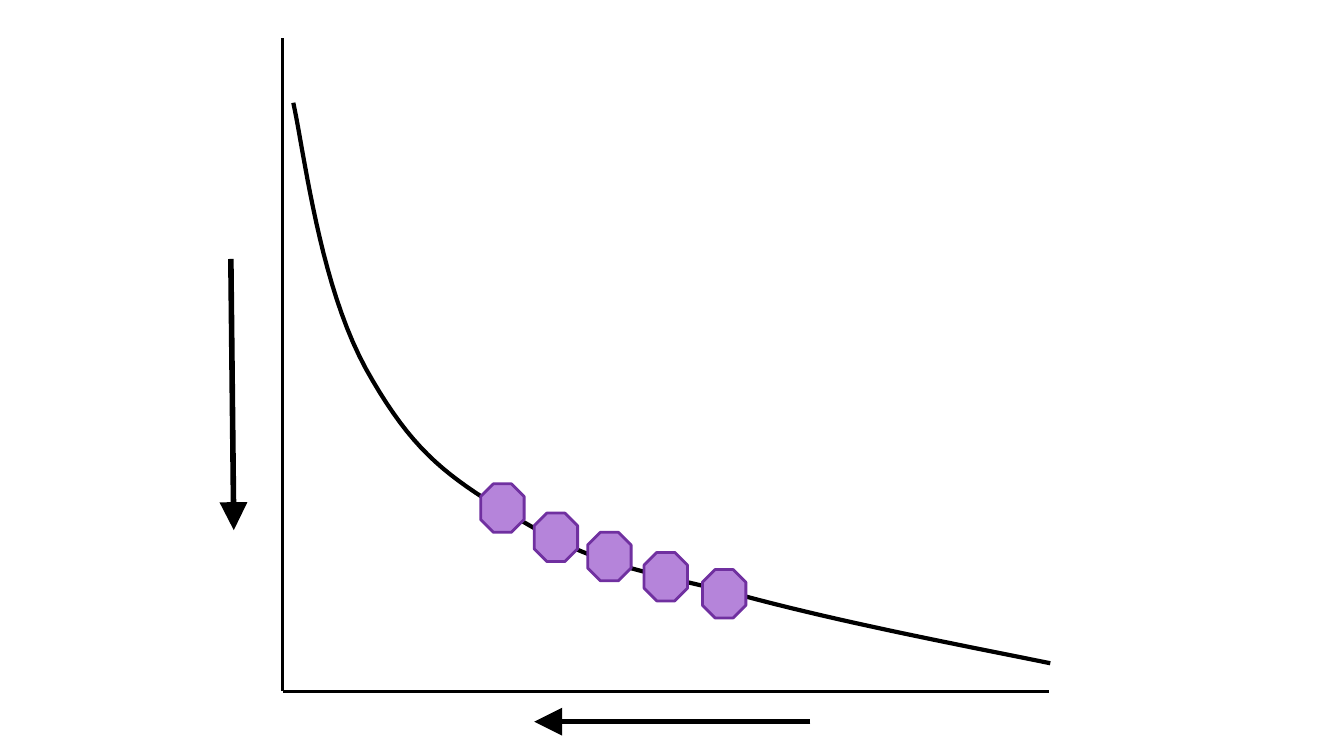
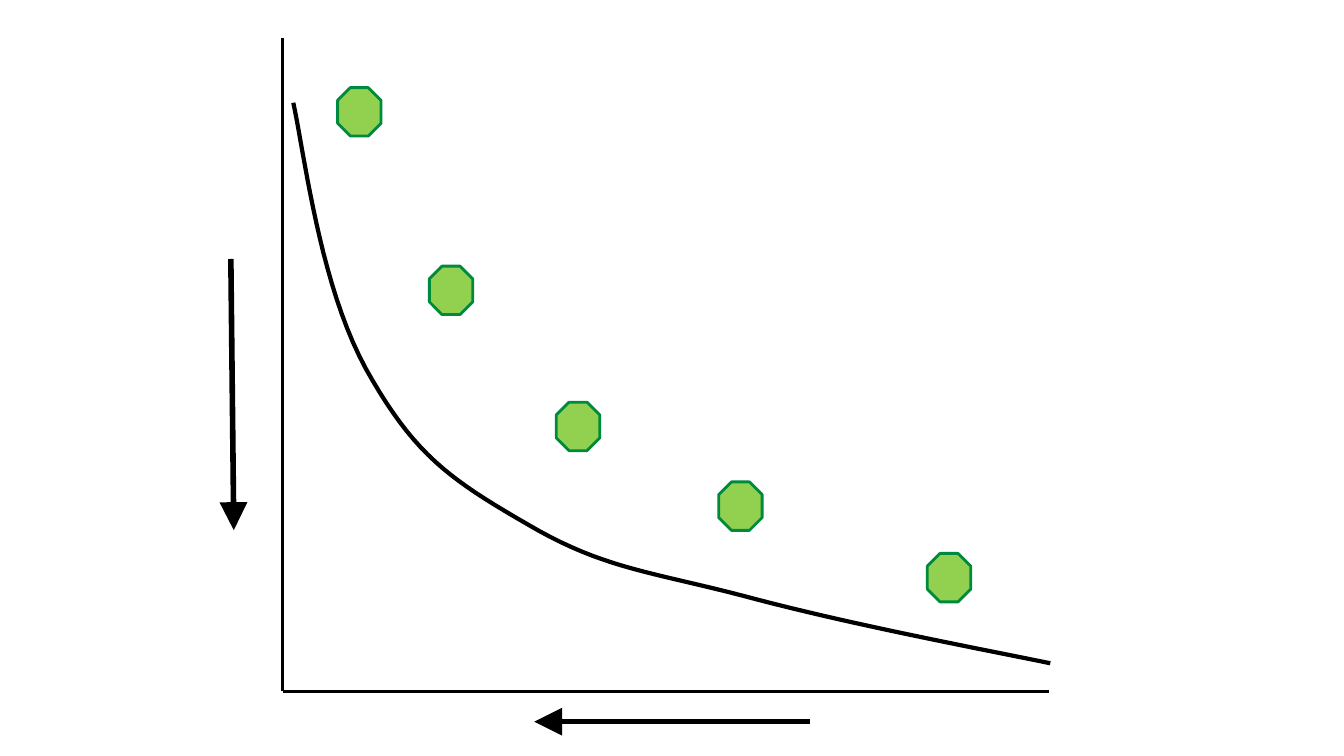
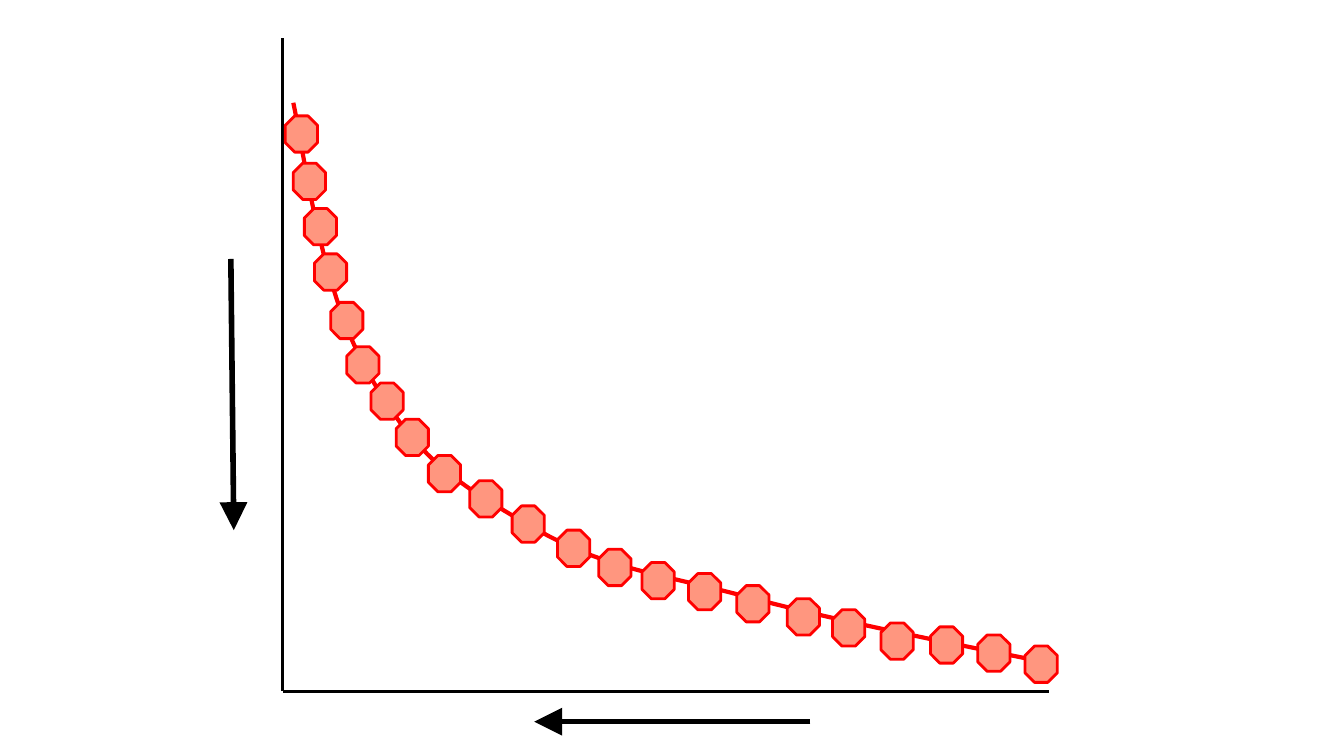
from lxml.etree import SubElement
from pptx import Presentation
from pptx.dml.color import RGBColor
from pptx.enum.shapes import MSO_CONNECTOR, MSO_SHAPE
from pptx.oxml.ns import qn
from pptx.util import Pt

COLORS = {
    "black": "000000",
    "purple": "B584DA", "purple edge": "7030A0",
    "green": "92D050", "green edge": "008A3D",
    "salmon": "FF967F", "red": "FF0000",
}

# Axes and arrows: start, end, line width, arrowhead
GUIDES = [
    ((201.6, 27.4), (201.6, 493.9), 2, False),
    ((202.3, 493.9), (749.5, 493.9), 2, False),
    ((578.9, 515.5), (381.6, 515.5), 4, True),
    ((164.9, 185), (167, 378.7), 4, True),
]

# Cubic curve: a start point, then two handles and an end point per piece
CURVE_START = (209.5, 73.4)
CURVE_PIECES = [
    ((217.4, 109.4), (228.2, 203), (261.4, 263.5)),
    ((295.2, 324), (320.4, 342), (376.6, 374.4)),
    ((432.7, 407.5), (466.6, 408.2), (541.4, 428.4)),
    ((615.6, 447.8), (708.5, 465.1), (750.2, 473.8)),
]
STEPS = 20

LARGE, SMALL = (31, 34.6), (23, 25.9)

# Left and top corners of the markers on each slide
CLUSTERED = [(343.4, 345.6), (381.6, 366.5), (419.8, 380.2), (460.1, 394.6), (501.8, 406.8)]
ABOVE_CURVE = [(241.2, 62.6), (306.7, 190.1), (397.4, 287.3), (513.4, 344.2), (662.4, 395.3)]
ALONG_CURVE = [
    (203.8, 82.8), (209.5, 116.6), (217.4, 149), (224.6, 181.4), (236.2, 216),
    (247.7, 247.7), (265, 273.6), (283, 299.5), (306, 325.4), (335.5, 343.4),
    (365.8, 361.4), (398.2, 378.7), (427.7, 392.4), (458.6, 401.8), (491.8, 409.7),
    (526.3, 418.3), (562.3, 427.7), (594.7, 435.6), (629.3, 445), (664.6, 447.8),
    (698.4, 453.6), (732.2, 461.5),
]

# Curve colour, marker fill, marker edge, marker size, marker corners
SLIDES = [
    ("black", "purple", "purple edge", LARGE, CLUSTERED),
    ("black", "green", "green edge", LARGE, ABOVE_CURVE),
    ("red", "salmon", "red", SMALL, ALONG_CURVE),
]


def set_line(shape, color, width):
    shape.line.color.rgb = RGBColor.from_string(COLORS[color])
    shape.line.width = Pt(width)


def sample_curve():
    """Return points along the cubic pieces, in EMU."""
    points = [CURVE_START]
    for first_handle, second_handle, end in CURVE_PIECES:
        start = points[-1]
        for step in range(1, STEPS + 1):
            t = step / STEPS
            weights = ((1 - t) ** 3, 3 * t * (1 - t) ** 2, 3 * t ** 2 * (1 - t), t ** 3)
            corners = (start, first_handle, second_handle, end)
            points.append(tuple(
                sum(weight * corner[axis] for weight, corner in zip(weights, corners))
                for axis in (0, 1)))
    return [(Pt(x), Pt(y)) for x, y in points]


presentation = Presentation()
presentation.slide_width, presentation.slide_height = Pt(960), Pt(540)
blank_layout = presentation.slide_layouts[6]
curve_points = sample_curve()

for curve_color, marker_fill, marker_edge, (width, height), corners in SLIDES:
    shapes = presentation.slides.add_slide(blank_layout).shapes

    builder = shapes.build_freeform(*curve_points[0])
    builder.add_line_segments(curve_points[1:], close=False)
    curve = builder.convert_to_shape()
    curve.shadow.inherit = False
    curve.fill.background()
    set_line(curve, curve_color, 3)

    for start, end, line_width, has_arrowhead in GUIDES:
        guide = shapes.add_connector(
            MSO_CONNECTOR.STRAIGHT, *(Pt(value) for value in start + end))
        set_line(guide, "black", line_width)
        SubElement(guide._element.spPr, qn("a:effectLst"))
        if has_arrowhead:
            SubElement(guide.line._get_or_add_ln(), qn("a:tailEnd"),
                       type="triangle", w="lg", len="lg")

    for left, top in corners:
        marker = shapes.add_shape(
            MSO_SHAPE.OCTAGON, Pt(left), Pt(top), Pt(width), Pt(height))
        marker.shadow.inherit = False
        marker.fill.solid()
        marker.fill.fore_color.rgb = RGBColor.from_string(COLORS[marker_fill])
        set_line(marker, marker_edge, 2)

presentation.save("out.pptx")
